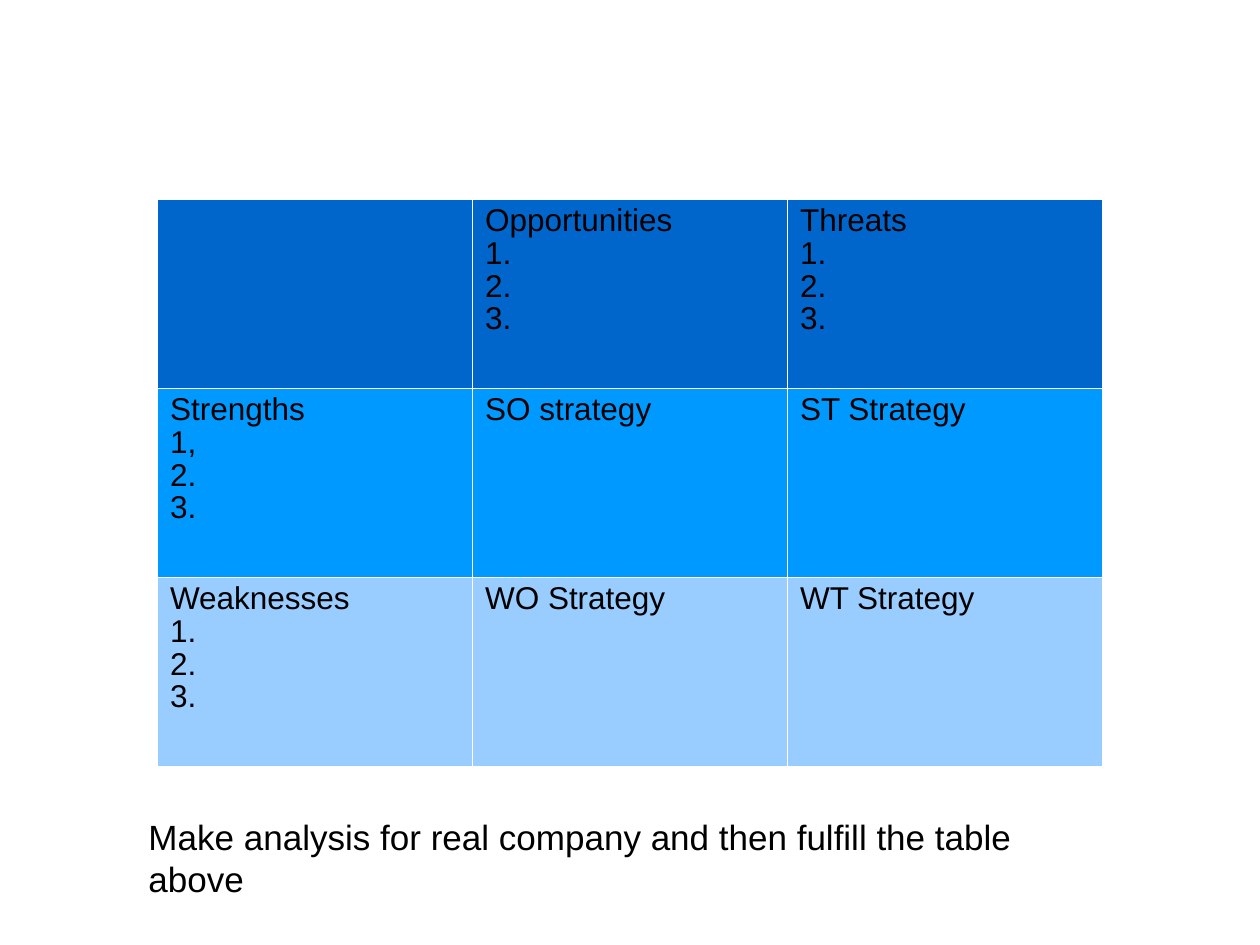
from lxml import etree
from pptx import Presentation
from pptx.dml.color import RGBColor
from pptx.enum.text import MSO_ANCHOR
from pptx.oxml.ns import qn
from pptx.util import Inches, Pt

TOP = MSO_ANCHOR.TOP
BLANK_LAYOUT = 6
FONT = "Arial"
BLACK = "000000"
WHITE = "FFFFFF"
BORDER_WIDTH = Pt(0.06)

ROW_FILLS = ["0066CC", "0099FF", "99CCFF"]
SWOT_ROWS = [
    [[], ["Opportunities", "1.", "2.", "3."], ["Threats", "1.", "2.", "3."]],
    [["Strengths", "1,", "2.", "3."], ["SO strategy"], ["ST Strategy"]],
    [["Weaknesses", "1.", "2.", "3."], ["WO Strategy"], ["WT Strategy"]],
]
TASK = "Make analysis for real company and then fulfill the table above"


def rgb(hex_colour):
    return RGBColor.from_string(hex_colour)


def write_lines(frame, lines, size, line_spacing=None):
    for index, line in enumerate(lines):
        paragraph = frame.paragraphs[0] if index == 0 else frame.add_paragraph()
        if line_spacing:
            paragraph.line_spacing = line_spacing
        run = paragraph.add_run()
        run.text = line
        run.font.name = FONT
        run.font.size = Pt(size)
        run.font.color.rgb = rgb(BLACK)


def set_borders(cell, hex_colour):
    # Border lines must come before the fill in the cell properties
    properties = cell._tc.get_or_add_tcPr()
    for position, side in enumerate(("a:lnL", "a:lnR", "a:lnT", "a:lnB")):
        border = etree.Element(qn(side), w=str(BORDER_WIDTH))
        fill = etree.SubElement(border, qn("a:solidFill"))
        etree.SubElement(fill, qn("a:srgbClr"), val=hex_colour)
        properties.insert(position, border)


def add_swot_table(slide, left, top, width, height):
    row_count, column_count = len(SWOT_ROWS), len(SWOT_ROWS[0])
    table = slide.shapes.add_table(
        row_count, column_count, left, top, width, height
    ).table
    table.first_row = False
    table.horz_banding = False
    for row, row_cells in enumerate(SWOT_ROWS):
        for column, lines in enumerate(row_cells):
            cell = table.cell(row, column)
            cell.fill.solid()
            cell.fill.fore_color.rgb = rgb(ROW_FILLS[row])
            cell.vertical_anchor = TOP
            set_borders(cell, WHITE)
            write_lines(cell.text_frame, lines, 18, line_spacing=0.93)


def add_task(slide, left, top, width, height):
    frame = slide.shapes.add_textbox(left, top, width, height).text_frame
    frame.word_wrap = False
    write_lines(frame, [TASK], 20)


def main():
    presentation = Presentation()
    presentation.slide_width = Inches(10)
    presentation.slide_height = Inches(7.5)
    slide = presentation.slides.add_slide(presentation.slide_layouts[BLANK_LAYOUT])

    # SWOT matrix with the task below it
    add_swot_table(slide, Inches(1.25), Inches(1.58), Inches(7.5), Inches(4.5))
    add_task(slide, Inches(1.08), Inches(6.42), Inches(7.88), Inches(0.43))

    presentation.save("out.pptx")


if __name__ == "__main__":
    main()
